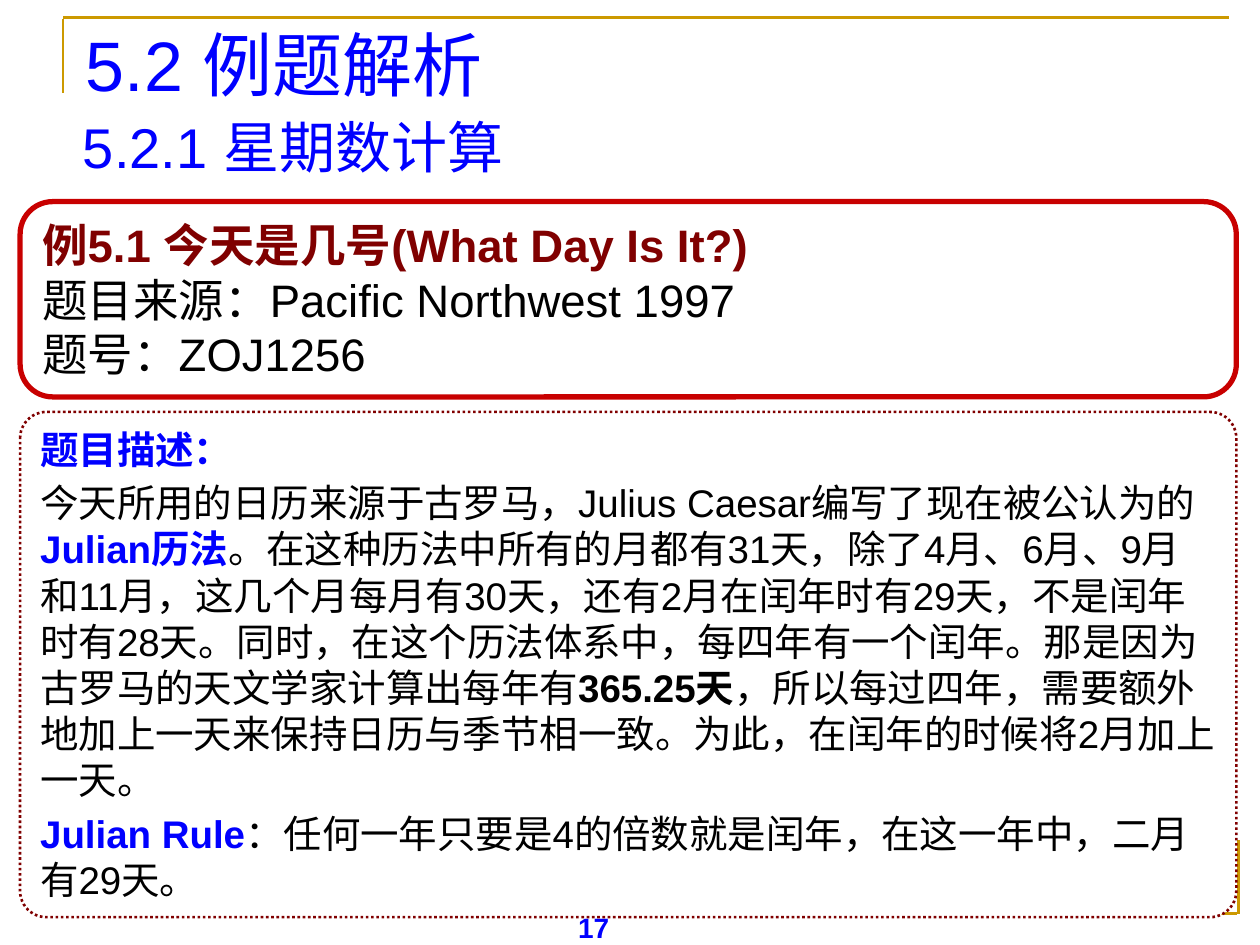
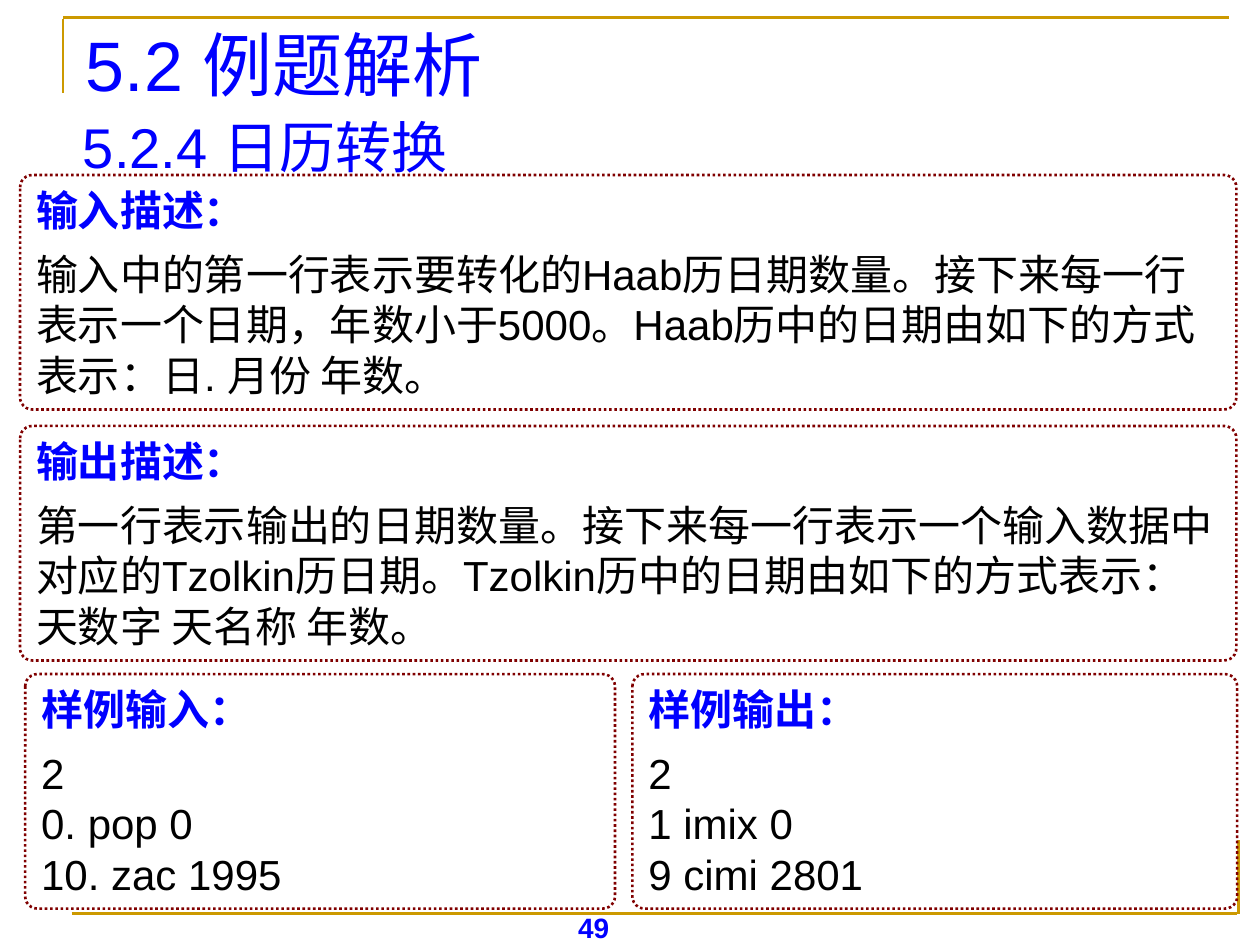
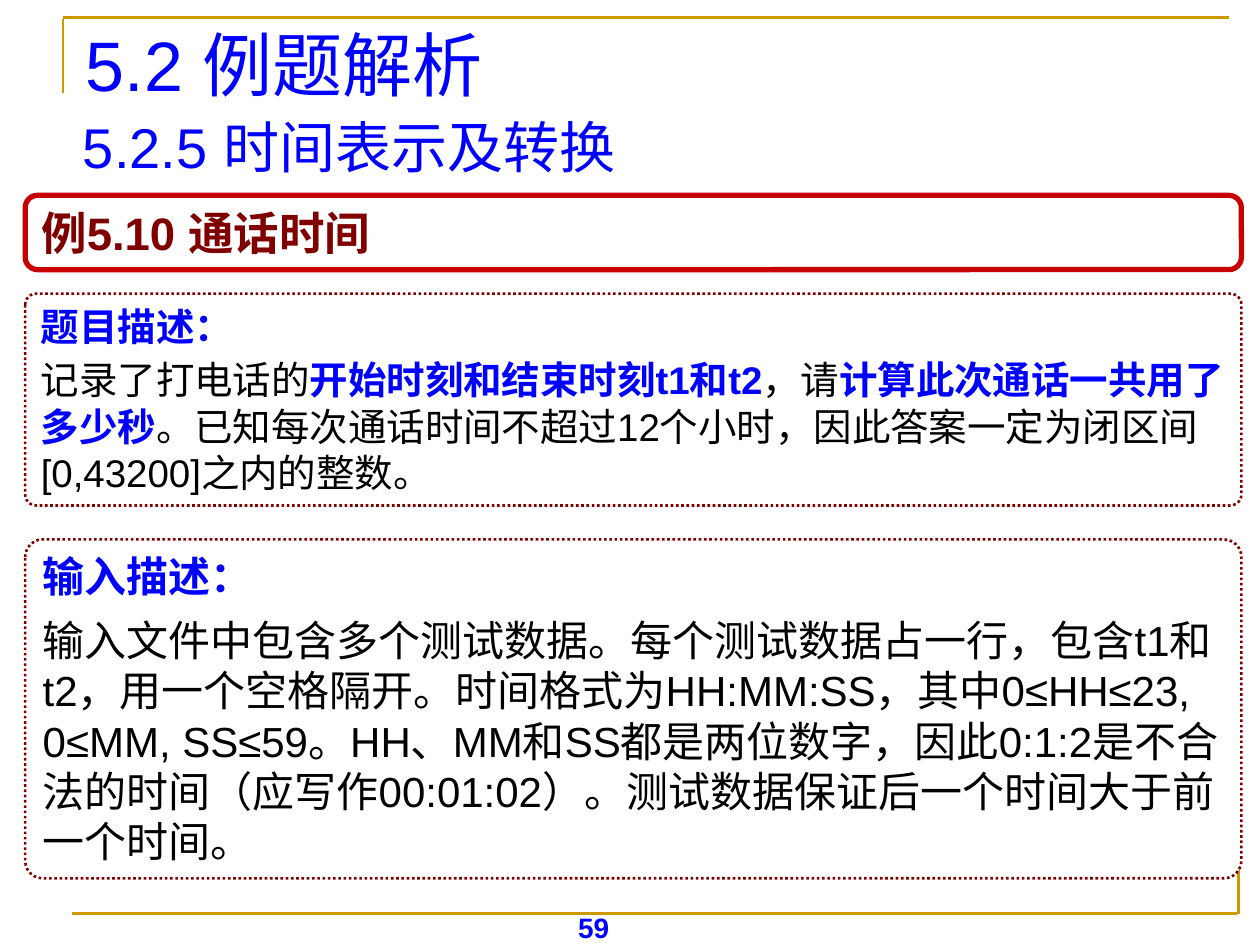
from pptx import Presentation
from pptx.dml.color import RGBColor
from pptx.enum import dml, lang, shapes, text
from pptx.oxml import parse_xml
from pptx.oxml.ns import nsdecls
from pptx.util import Pt

BLUE, BLACK, MAROON, RED, GOLD, WHITE = "0000FF", "000000", "800000", "C80000", "CC9900", "FFFFFF"
TITLE = "5.2 例题解析"
FRAME_LINES = [(36, 10.8, 36, 53.3), (36, 10, 702, 10), (707.8, 480.2, 707.8, 522), (41, 522, 707, 522)]

# Panel kinds: border, border width, dash, corner, text size, heading colour, gap after heading, gap after body
DOTTED = (MAROON, 1.5, dml.MSO_LINE.ROUND_DOT, 0.052)
KINDS = {
    "example": (RED, 3, None, 0.167, 26, MAROON, 0, 0),
    "story": (*DOTTED, 22, BLUE, 4.1, 4.1),
    "format": (*DOTTED, 24, BLUE, 7.5, 7.5),
    "sample": (*DOTTED, 24, BLUE, 7.5, 0),
}


def hex_color(value):
    return RGBColor.from_string(value)


def add_span(para, words, size, color=BLACK, bold=False):
    span = para.add_run()
    span.text = words
    font = span.font
    font.name, font.size, font.bold = "Arial", Pt(size), bold
    font.color.rgb = hex_color(color)
    font.language_id = lang.MSO_LANGUAGE_ID.SIMPLIFIED_CHINESE


# Each page: subtitle, page number, panels (kind, left, top, width, height, heading, body paragraphs).
# A body paragraph is a list of plain strings and (text, colour) pairs set in bold.
pages = [
    ("5.2.1 星期数计算", 17, [
        ("example", 11.5, 115.2, 695, 111.6, "例5.1 今天是几号(What Day Is It?)", [
            ["题目来源：Pacific Northwest 1997"],
            ["题号：ZOJ1256"],
        ]),
        ("story", 11.5, 235.4, 695, 288.7, "题目描述：", [
            ["今天所用的日历来源于古罗马，Julius Caesar编写了现在被公认为的",
             ("Julian历法", BLUE),
             "。在这种历法中所有的月都有31天，除了4月、6月、9月和11月，这几个月每月有30天，"
             "还有2月在闰年时有29天，不是闰年时有28天。同时，在这个历法体系中，每四年有一个闰年。"
             "那是因为古罗马的天文学家计算出每年有",
             ("365.25天", BLACK),
             "，所以每过四年，需要额外地加上一天来保持日历与季节相一致。为此，在闰年的时候将2月加上一天。"],
            [("Julian Rule", BLUE), "：任何一年只要是4的倍数就是闰年，在这一年中，二月有29天。"],
        ]),
    ]),
    ("5.2.4 日历转换", 49, [
        ("format", 11.5, 100, 695, 134, "输入描述：", [
            ["输入中的第一行表示要转化的Haab历日期数量。接下来每一行表示一个日期，年数小于5000。"
             "Haab历中的日期由如下的方式表示：日. 月份 年数。"],
        ]),
        ("format", 11.5, 243.4, 695, 134, "输出描述：", [
            ["第一行表示输出的日期数量。接下来每一行表示一个输入数据中对应的Tzolkin历日期。"
             "Tzolkin历中的日期由如下的方式表示：天数字 天名称 年数。"],
        ]),
        ("sample", 361.4, 385.2, 345.6, 134, "样例输出：", [["2"], ["1 imix 0"], ["9 cimi 2801"]]),
        ("sample", 14.4, 385.2, 337, 134, "样例输入：", [["2"], ["0. pop 0"], ["10. zac 1995"]]),
    ]),
    ("5.2.5 时间表示及转换", 59, [
        ("story", 14.4, 167.8, 695, 121, "题目描述：", [
            ["记录了打电话的",
             ("开始时刻和结束时刻t1和t2", BLUE),
             "，请",
             ("计算此次通话一共用了多少秒", BLUE),
             "。已知每次通话时间不超过12个小时，因此答案一定为闭区间[0,43200]之内的整数。"],
        ]),
        ("example", 14.4, 111.6, 695, 42.5, "例5.10 通话时间", []),
        ("format", 14.4, 308.2, 695, 193.7, "输入描述：", [
            ["输入文件中包含多个测试数据。每个测试数据占一行，包含t1和t2，用一个空格隔开。"
             "时间格式为HH:MM:SS，其中0≤HH≤23, 0≤MM, SS≤59。HH、MM和SS都是两位数字，"
             "因此0:1:2是不合法的时间（应写作00:01:02）。测试数据保证后一个时间大于前一个时间。"],
        ]),
    ]),
]

deck = Presentation()
deck.slide_width, deck.slide_height = Pt(720), Pt(540)

for subtitle, number, panels in pages:
    page = deck.slides.add_slide(deck.slide_layouts[5])

    for ends in FRAME_LINES:
        line = page.shapes.add_connector(shapes.MSO_CONNECTOR.STRAIGHT, *map(Pt, ends))
        line.line.color.rgb = hex_color(GOLD)
        line.line.width = Pt(1.5)
        line._element.spPr.append(parse_xml(f"<a:effectLst {nsdecls('a')}/>"))

    number_box = page.shapes.add_textbox(Pt(264.2), Pt(517), Pt(150), Pt(18))
    number_box.text_frame.word_wrap = True
    number_para = number_box.text_frame.paragraphs[0]
    number_para.alignment = text.PP_ALIGN.CENTER
    add_span(number_para, str(number), 16, BLUE, True)

    title = page.shapes.title
    title.left, title.top, title.width, title.height = Pt(41.8), Pt(12.2), Pt(654), Pt(48.2)
    title.text_frame.vertical_anchor = text.MSO_ANCHOR.MIDDLE
    title.text_frame.auto_size = text.MSO_AUTO_SIZE.NONE
    title_para = title.text_frame.paragraphs[0]
    title_para.alignment = text.PP_ALIGN.LEFT
    add_span(title_para, TITLE, 40, BLUE)

    subtitle_box = page.shapes.add_textbox(Pt(40.3), Pt(60.5), Pt(656), Pt(46))
    subtitle_box.text_frame.word_wrap = True
    add_span(subtitle_box.text_frame.paragraphs[0], subtitle, 32, BLUE)

    for kind, left, top, width, height, heading, body in panels:
        border, weight, dash, corner, size, heading_color, heading_gap, body_gap = KINDS[kind]
        panel = page.shapes.add_shape(
            shapes.MSO_SHAPE.ROUNDED_RECTANGLE, Pt(left), Pt(top), Pt(width), Pt(height))
        panel.adjustments[0] = corner
        panel.shadow.inherit = False
        panel.fill.solid()
        panel.fill.fore_color.rgb = hex_color(WHITE)
        panel.line.color.rgb = hex_color(border)
        panel.line.width = Pt(weight)
        if dash:
            panel.line.dash_style = dash

        frame = panel.text_frame
        frame.word_wrap = True
        frame.auto_size = text.MSO_AUTO_SIZE.SHAPE_TO_FIT_TEXT
        frame.vertical_anchor = text.MSO_ANCHOR.TOP
        for index, spans in enumerate([[(heading, heading_color)], *body]):
            para = frame.add_paragraph() if index else frame.paragraphs[0]
            para.alignment = text.PP_ALIGN.LEFT
            para.space_after = Pt(body_gap if index else heading_gap)
            for span in spans:
                if isinstance(span, str):
                    add_span(para, span, size)
                else:
                    add_span(para, span[0], size, span[1], True)

deck.save("out.pptx")
